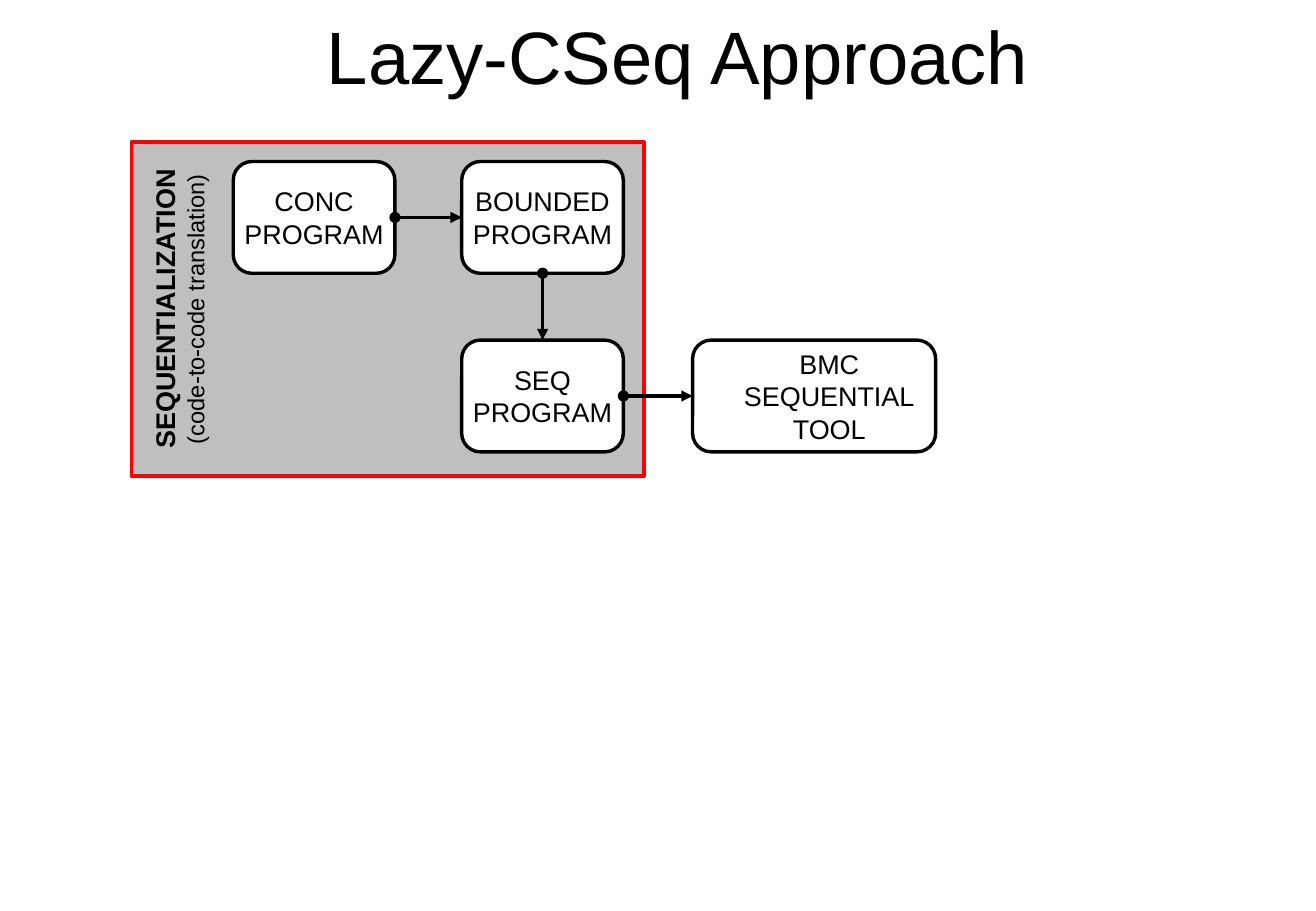
from pptx import Presentation
from pptx.dml.color import RGBColor
from pptx.enum.shapes import MSO_CONNECTOR, MSO_SHAPE
from pptx.enum.text import MSO_ANCHOR as ANCHOR, PP_ALIGN
from pptx.oxml.ns import qn
from pptx.util import Inches, Pt
from lxml.etree import SubElement

BLACK = RGBColor(0x00, 0x00, 0x00)
WHITE = RGBColor(0xFF, 0xFF, 0xFF)
GRAY = RGBColor(0xBF, 0xBF, 0xBF)
RED = RGBColor(0xFF, 0x00, 0x00)
FONT = "Arial"
TOP, LEFT, BOTTOM, RIGHT = range(4)


def write(sp, lines, inset=0):
    tf = sp.text_frame
    tf.word_wrap = True
    tf.vertical_anchor = ANCHOR.MIDDLE
    tf.margin_left = Inches(inset)
    tf.margin_right = tf.margin_top = tf.margin_bottom = 0
    for i, (text, size, bold) in enumerate(lines):
        p = tf.add_paragraph() if i else tf.paragraphs[0]
        p.alignment = PP_ALIGN.CENTER
        r = p.add_run()
        r.text = text
        r.font.name = FONT
        r.font.size = Pt(size)
        r.font.bold = bold
        r.font.color.rgb = BLACK


def add_text(s, x, y, w, h, lines):
    sp = s.shapes.add_textbox(Inches(x), Inches(y), Inches(w), Inches(h))
    write(sp, lines)
    return sp


def add_box(s, kind, x, y, w, h, fill, line):
    sp = s.shapes.add_shape(kind, Inches(x), Inches(y), Inches(w), Inches(h))
    sp.shadow.inherit = False
    sp.fill.solid()
    sp.fill.fore_color.rgb = fill
    sp.line.color.rgb = line
    sp.line.width = Pt(2)
    return sp


def add_stage(s, x, y, w, h, words, inset=0):
    sp = add_box(s, MSO_SHAPE.ROUNDED_RECTANGLE, x, y, w, h, WHITE, BLACK)
    write(sp, [(word, 16, False) for word in words], inset)
    return sp


def add_arrow(s, source, source_side, target, target_side):
    cx = s.shapes.add_connector(MSO_CONNECTOR.STRAIGHT, 0, 0, 0, 0)
    cx.begin_connect(source, source_side)
    cx.end_connect(target, target_side)
    cx.line.color.rgb = BLACK
    cx.line.width = Pt(2.25)
    ln = cx.line._get_or_add_ln()
    SubElement(ln, qn("a:headEnd"), type="oval")
    SubElement(ln, qn("a:tailEnd"), type="triangle")
    SubElement(cx._element.spPr, qn("a:effectLst"))


def add_title(s, x, y, w, h):
    add_text(s, x, y, w, h, [("Lazy-CSeq Approach", 44, False)])


def add_workflow(s, x, y, w, h):
    add_box(s, MSO_SHAPE.RECTANGLE, x, y, w, h, GRAY, RED)
    label = add_text(s, x - 0.9, y + 1.07, 2.58, 0.61, [
        ("SEQUENTIALIZATION", 16, True),
        ("(code-to-code translation)", 14, False)])
    label.rotation = 270

    stage_w, stage_h = 1.33, 0.92
    col1, col2, col3 = x + 0.84, x + 2.72, x + 4.62
    row1, row2 = y + 0.16, y + 1.63
    conc = add_stage(s, col1, row1, stage_w, stage_h, ["CONC", "PROGRAM"])
    bounded = add_stage(s, col2, row1, stage_w, stage_h, ["BOUNDED", "PROGRAM"])
    seq = add_stage(s, col2, row2, stage_w, stage_h, ["SEQ", "PROGRAM"])
    bmc = add_stage(s, col3, row2, 2, stage_h, ["BMC SEQUENTIAL", "TOOL"], 0.25)

    add_arrow(s, conc, RIGHT, bounded, LEFT)
    add_arrow(s, bounded, BOTTOM, seq, TOP)
    add_arrow(s, seq, RIGHT, bmc, LEFT)


def main():
    prs = Presentation()
    prs.slide_width = Inches(10.83)
    prs.slide_height = Inches(7.5)
    s = prs.slides.add_slide(prs.slide_layouts[6])
    add_title(s, 0.58, 0, 10, 0.9)
    add_workflow(s, 1.08, 1.17, 4.22, 2.75)
    prs.save("out.pptx")


if __name__ == "__main__":
    main()
